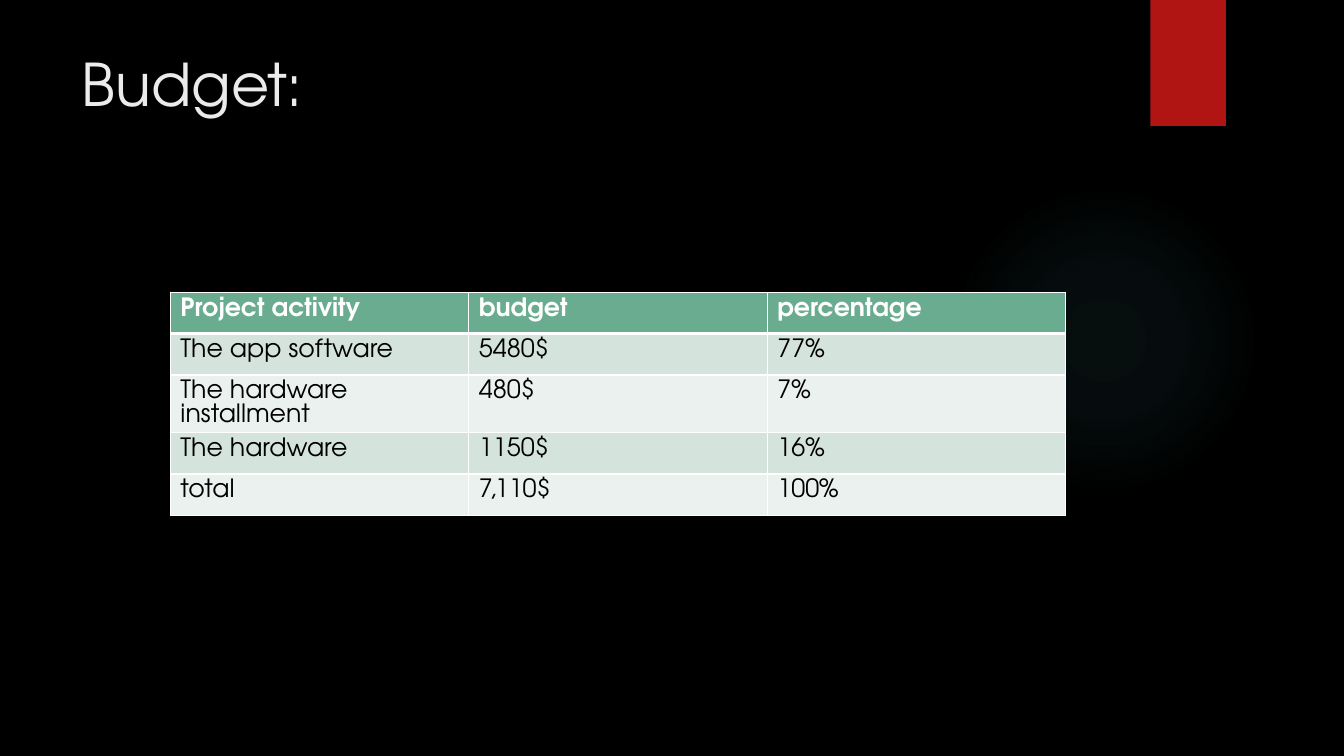
import lxml.etree
import pptx
import pptx.dml.color
import pptx.enum.shapes
import pptx.enum.text
import pptx.oxml
import pptx.oxml.ns
import pptx.util

Inches = pptx.util.Inches
Pt = pptx.util.Pt
RGBColor = pptx.dml.color.RGBColor

BLACK = RGBColor(0x00, 0x00, 0x00)
WHITE = RGBColor(0xFF, 0xFF, 0xFF)
TITLE_GRAY = RGBColor(0xEB, 0xEB, 0xEB)
RED = RGBColor(0xB0, 0x15, 0x13)
GLOW_TEAL = RGBColor(0x50, 0xB9, 0xC1)
HEADER_GREEN = RGBColor(0x6A, 0xAC, 0x90)
BAND_COLORS = [RGBColor(0xEB, 0xF1, 0xEE), RGBColor(0xD4, 0xE3, 0xDB)]
FONT_NAME = "TeX Gyre Adventor"
NAMESPACE = pptx.oxml.ns.nsdecls("a")

BUDGET_ROWS = [
    ["Project activity", "budget", "percentage"],
    ["The app software", "5480$", "77%"],
    ["The hardware installment", "480$", "7%"],
    ["The hardware", "1150$", "16%"],
    ["total", "7,110$", "100%"],
]


def format_font(font, size, color, bold=False):
    values = {"name": FONT_NAME, "size": Pt(size), "bold": bold}
    for attribute, value in values.items():
        setattr(font, attribute, value)
    font.color.rgb = color


def add_plain_shape(slide, kind, left, top, width, height):
    """Add a preset shape without outline or shadow."""
    shape = slide.shapes.add_shape(
        kind, Inches(left), Inches(top), Inches(width), Inches(height))
    shape.shadow.inherit = False
    shape.line.fill.background()
    return shape


presentation = pptx.Presentation()
presentation.slide_width = Inches(13.33)
presentation.slide_height = Inches(7.5)
slide = presentation.slides.add_slide(presentation.slide_layouts[5])
slide.background.fill.solid()
slide.background.fill.fore_color.rgb = BLACK

# Background decoration
shape_kinds = pptx.enum.shapes.MSO_SHAPE
glow = add_plain_shape(slide, shape_kinds.OVAL, 9.41, 1.83, 3.08, 3.08)
stops = "".join(
    f'<a:gs pos="{position * 1000}"><a:srgbClr val="{GLOW_TEAL}">'
    f'<a:alpha val="{opacity * 1000}"/></a:srgbClr></a:gs>'
    for position, opacity in [(0, 7), (36, 6), (69, 0), (100, 0)])
gradient = pptx.oxml.parse_xml(
    f'<a:gradFill {NAMESPACE} rotWithShape="1"><a:gsLst>{stops}</a:gsLst>'
    '<a:path path="circle"><a:fillToRect l="50000" t="50000" r="50000" b="50000"/>'
    '</a:path></a:gradFill>')
glow_properties = glow.fill._xPr
glow_properties.find(pptx.oxml.ns.qn("a:prstGeom")).addnext(gradient)

ribbon = add_plain_shape(slide, shape_kinds.RECTANGLE, 11.41, 0, 0.75, 1.25)
ribbon.fill.solid()
ribbon.fill.fore_color.rgb = RED

# Title
title = slide.shapes.title
title_box = {"left": 0.71, "top": 0.5, "width": 10.29, "height": 1.53}
for attribute, value in title_box.items():
    setattr(title, attribute, Inches(value))
title.text_frame.text = "Budget:"
title.text_frame.vertical_anchor = pptx.enum.text.MSO_ANCHOR.TOP
title_paragraph = title.text_frame.paragraphs[0]
title_paragraph.alignment = pptx.enum.text.PP_ALIGN.LEFT
title_paragraph.line_spacing = 0.9
format_font(title_paragraph.runs[0].font, 42, TITLE_GRAY)

# Budget table
table = slide.shapes.add_table(
    len(BUDGET_ROWS), len(BUDGET_ROWS[0]),
    Inches(1.69), Inches(2.9), Inches(8.89), Inches(2.05)).table
for column in table.columns:
    column.width = Inches(2.96)
for row_index, row_texts in enumerate(BUDGET_ROWS):
    table.rows[row_index].height = Inches(0.41)
    is_header = row_index == 0
    for column_index, text in enumerate(row_texts):
        cell = table.cell(row_index, column_index)
        cell.text = text
        paragraph = cell.text_frame.paragraphs[0]
        paragraph.line_spacing = Pt(17)
        format_font(paragraph.runs[0].font, 18, WHITE if is_header else BLACK, is_header)
        border_widths = {"lnL": 1, "lnR": 1, "lnT": 3 if row_index == 1 else 1,
                         "lnB": 3 if is_header else 1}
        cell_properties = cell._tc.get_or_add_tcPr()
        for side, width in border_widths.items():
            cell_properties.append(pptx.oxml.parse_xml(
                f'<a:{side} {NAMESPACE} w="{Pt(width)}"><a:solidFill>'
                f'<a:srgbClr val="{WHITE}"/></a:solidFill></a:{side}>'))
        cell.fill.solid()
        cell.fill.fore_color.rgb = HEADER_GREEN if is_header else BAND_COLORS[row_index % 2]

presentation.save("out.pptx")
